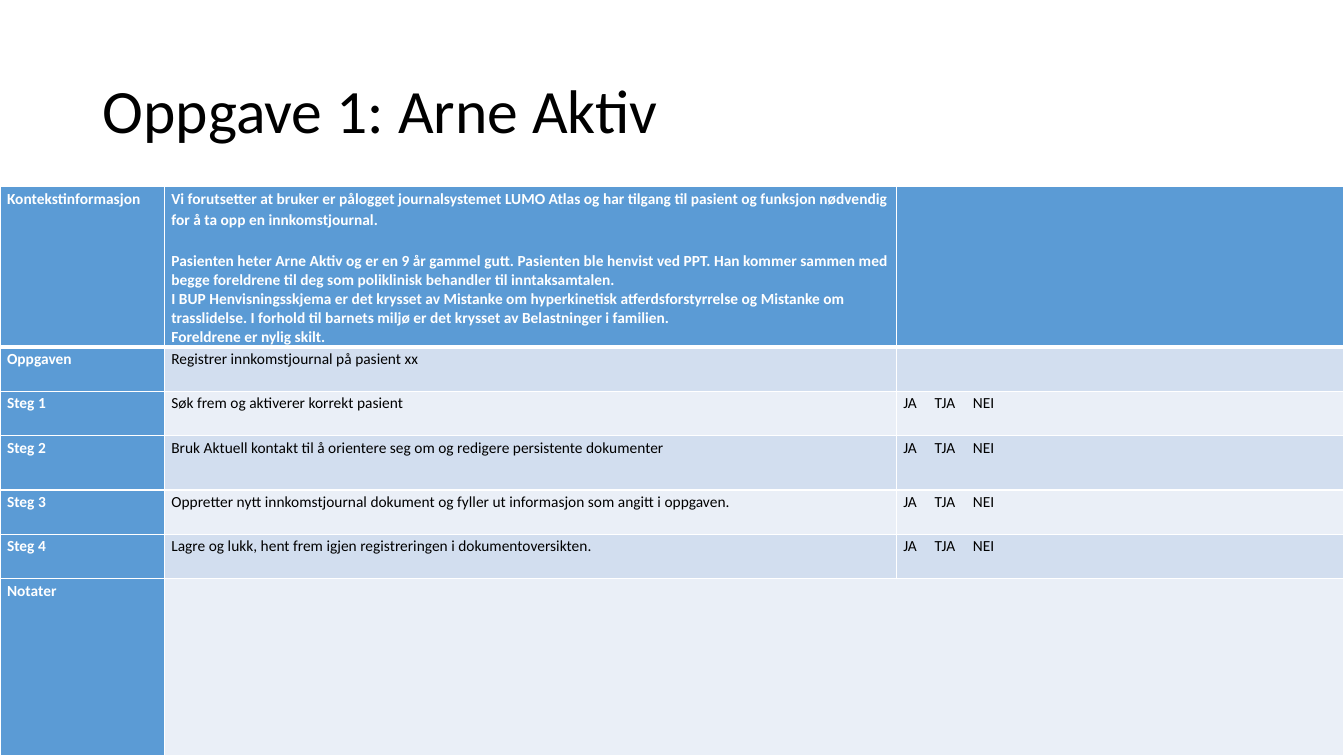
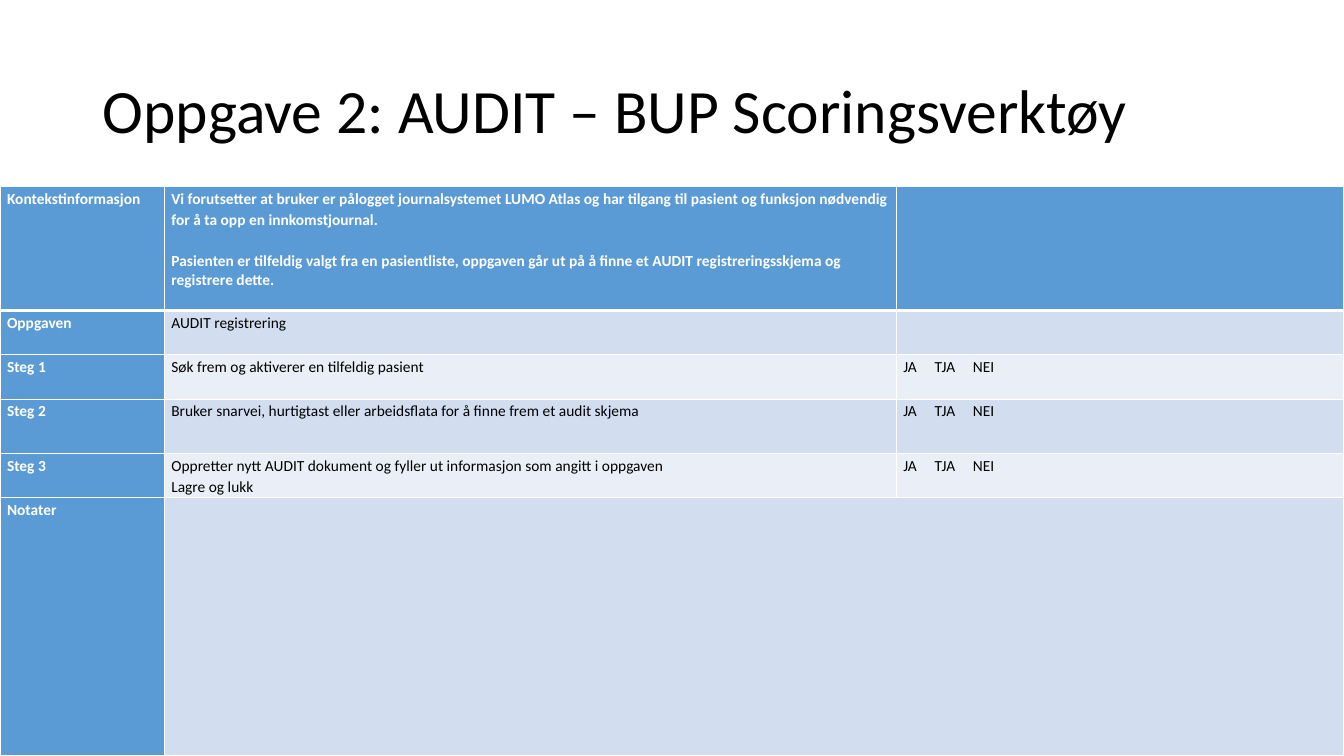
from lxml import etree
from pptx import Presentation
from pptx.dml.color import RGBColor
from pptx.enum.text import MSO_ANCHOR, PP_ALIGN
from pptx.oxml.ns import qn
from pptx.util import Inches, Pt

LEFT = PP_ALIGN.LEFT
MIDDLE = MSO_ANCHOR.MIDDLE
TITLE_ONLY = 5

BLUE, WHITE, BLACK = "5B9BD5", "FFFFFF", "000000"
BANDS = ("EAEFF7", "D2DEEF")
TITLE_FONT = {"name": "Calibri", "size": Pt(44), "bold": False}
CELL_FONT = {"name": "Calibri", "size": Pt(11)}
CELL_MARGINS = {
    "margin_left": Inches(0.07),
    "margin_right": Inches(0.07),
    "margin_top": 0,
    "margin_bottom": 0,
}
SLIDE_W, SLIDE_H = 13.33, 7.5
TABLE_TOP = 1.85
COLS = (1.63, 7.26, 4.44)
ROW_H, TALL_ROW_H = 0.44, 0.54
TAB_STOPS = (0.31, 0.69)

ANSWERS = "JA\tTJA\tNEI"
INTRO = (
    "Vi forutsetter at bruker er pålogget journalsystemet LUMO Atlas og har tilgang "
    "til pasient og funksjon nødvendig for å ta opp en innkomstjournal."
)

TASKS = [
    {
        "title": "Oppgave 1: Arne Aktiv",
        "context_h": 1.59,
        "context": [
            "Pasienten heter Arne Aktiv og er en 9 år gammel gutt. Pasienten ble henvist "
            "ved PPT. Han kommer sammen med begge foreldrene til deg som poliklinisk "
            "behandler til inntaksamtalen.",
            "I BUP Henvisningsskjema er det krysset av Mistanke om hyperkinetisk "
            "atferdsforstyrrelse og Mistanke om trasslidelse. I forhold til barnets miljø "
            "er det krysset av Belastninger i familien.",
            "Foreldrene er nylig skilt.",
        ],
        "goal": "Registrer innkomstjournal på pasient xx",
        "steps": [
            ["Søk frem og aktiverer korrekt pasient"],
            ["Bruk Aktuell kontakt til å orientere seg om og redigere persistente dokumenter"],
            ["Oppretter nytt innkomstjournal dokument og fyller ut informasjon som angitt i oppgaven."],
            ["Lagre og lukk, hent frem igjen registreringen i dokumentoversikten."],
        ],
    },
    {
        "title": "Oppgave 2: AUDIT – BUP Scoringsverktøy",
        "context_h": 1.23,
        "context": [
            "Pasienten er tilfeldig valgt fra en pasientliste, oppgaven går ut på å finne et "
            "AUDIT registreringsskjema og registrere dette.",
        ],
        "goal": "AUDIT registrering",
        "steps": [
            ["Søk frem og aktiverer en tilfeldig pasient"],
            ["Bruker snarvei, hurtigtast eller arbeidsflata for å finne frem et audit skjema"],
            ["Oppretter nytt AUDIT dokument og fyller ut informasjon som angitt i oppgaven",
             "Lagre og lukk"],
        ],
    },
]


def rgb(value):
    return RGBColor.from_string(value)


def apply(obj, values):
    for name, value in values.items():
        setattr(obj, name, value)


class Deck:
    def __init__(self):
        self.prs = Presentation()
        self.prs.slide_width = Inches(SLIDE_W)
        self.prs.slide_height = Inches(SLIDE_H)
        self.s = None

    def slide(self, title):
        self.s = self.prs.slides.add_slide(self.prs.slide_layouts[TITLE_ONLY])
        sp = self.s.shapes.title
        apply(sp, {"left": Inches(0.92), "top": Inches(0.4),
                   "width": Inches(11.5), "height": Inches(1.45)})
        tf = sp.text_frame
        apply(tf, {"vertical_anchor": MIDDLE, "word_wrap": True})
        p = tf.paragraphs[0]
        self.run(p, title, TITLE_FONT, BLACK)
        apply(p, {"alignment": LEFT, "line_spacing": 0.9})

    def run(self, p, text, font, color):
        r = p.add_run()
        r.text = text
        apply(r.font, font)
        r.font.color.rgb = rgb(color)

    def border(self, cell, side, width):
        ln = etree.SubElement(cell._tc.get_or_add_tcPr(), qn(f"a:ln{side}"), w=str(Pt(width)))
        fill = etree.SubElement(ln, qn("a:solidFill"))
        etree.SubElement(fill, qn("a:srgbClr"), val=WHITE)

    def tabs(self, p):
        tab_list = etree.SubElement(p._p.get_or_add_pPr(), qn("a:tabLst"))
        for stop in TAB_STOPS:
            etree.SubElement(tab_list, qn("a:tab"), pos=str(Inches(stop)), algn="l")

    def cell(self, cell, row, texts, fill):
        widths = {"L": 1, "R": 1, "T": 3 if row == 1 else 1, "B": 3 if row == 0 else 1}
        for side, width in widths.items():
            self.border(cell, side, width)
        cell.fill.solid()
        cell.fill.fore_color.rgb = rgb(fill)
        apply(cell, CELL_MARGINS)
        strong = fill == BLUE
        tf = cell.text_frame
        for i, text in enumerate(texts):
            p = tf.add_paragraph() if i else tf.paragraphs[0]
            p.line_spacing = 1.0 if strong and i else 1.15
            if strong and i == 1:
                p.space_before = Pt(15.5)
            if "\t" in text:
                self.tabs(p)
            self.run(p, text, {**CELL_FONT, "bold": strong}, WHITE if strong else BLACK)

    def table(self, rows, heights):
        frame = self.s.shapes.add_table(
            len(rows), len(COLS), 0, Inches(TABLE_TOP), Inches(SLIDE_W), Inches(sum(heights)))
        tbl = frame.table
        apply(tbl, {"first_row": False, "horz_banding": False})
        for column, width in zip(tbl.columns, COLS):
            column.width = Inches(width)
        for i, (texts, height) in enumerate(zip(rows, heights)):
            tbl.rows[i].height = Inches(height)
            for j, content in enumerate(texts):
                fill = BLUE if i == 0 or j == 0 else BANDS[i % 2]
                self.cell(tbl.cell(i, j), i, content, fill)
        last = len(rows) - 1
        tbl.cell(last, 1).merge(tbl.cell(last, 2))

    def task(self, title, context_h, context, goal, steps):
        self.slide(title)
        rows = [
            (["Kontekstinformasjon"], [INTRO, *context], []),
            (["Oppgaven"], [goal], []),
            *(([f"Steg {n}"], step, [ANSWERS]) for n, step in enumerate(steps, 1)),
            (["Notater"], [], []),
        ]
        heights = [context_h, ROW_H]
        heights += [TALL_ROW_H if n == 2 else ROW_H for n in range(1, len(steps) + 1)]
        heights.append(SLIDE_H - TABLE_TOP - sum(heights))
        self.table(rows, heights)


def main():
    deck = Deck()
    for task in TASKS:
        deck.task(**task)
    deck.prs.save("out.pptx")


if __name__ == "__main__":
    main()
